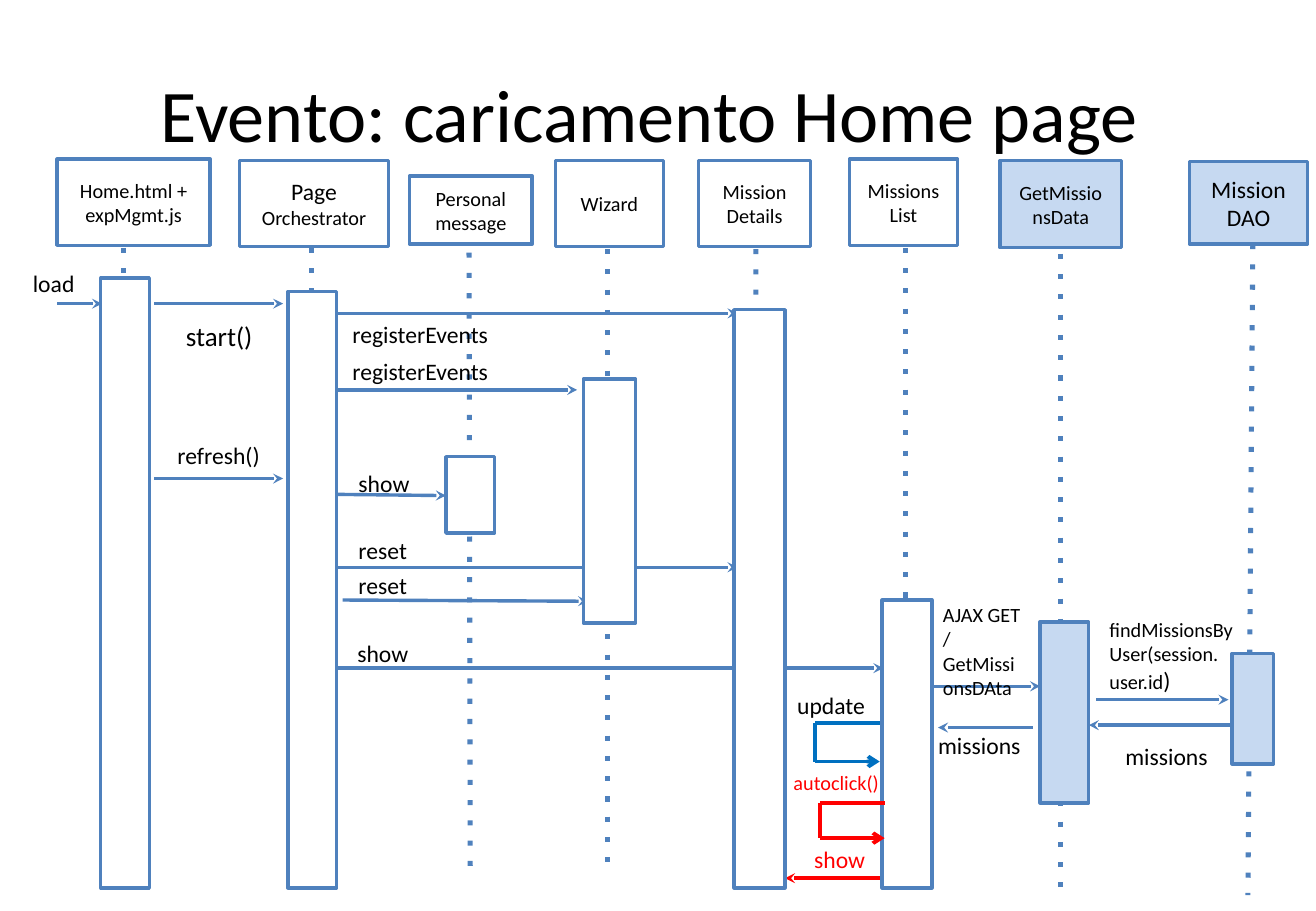
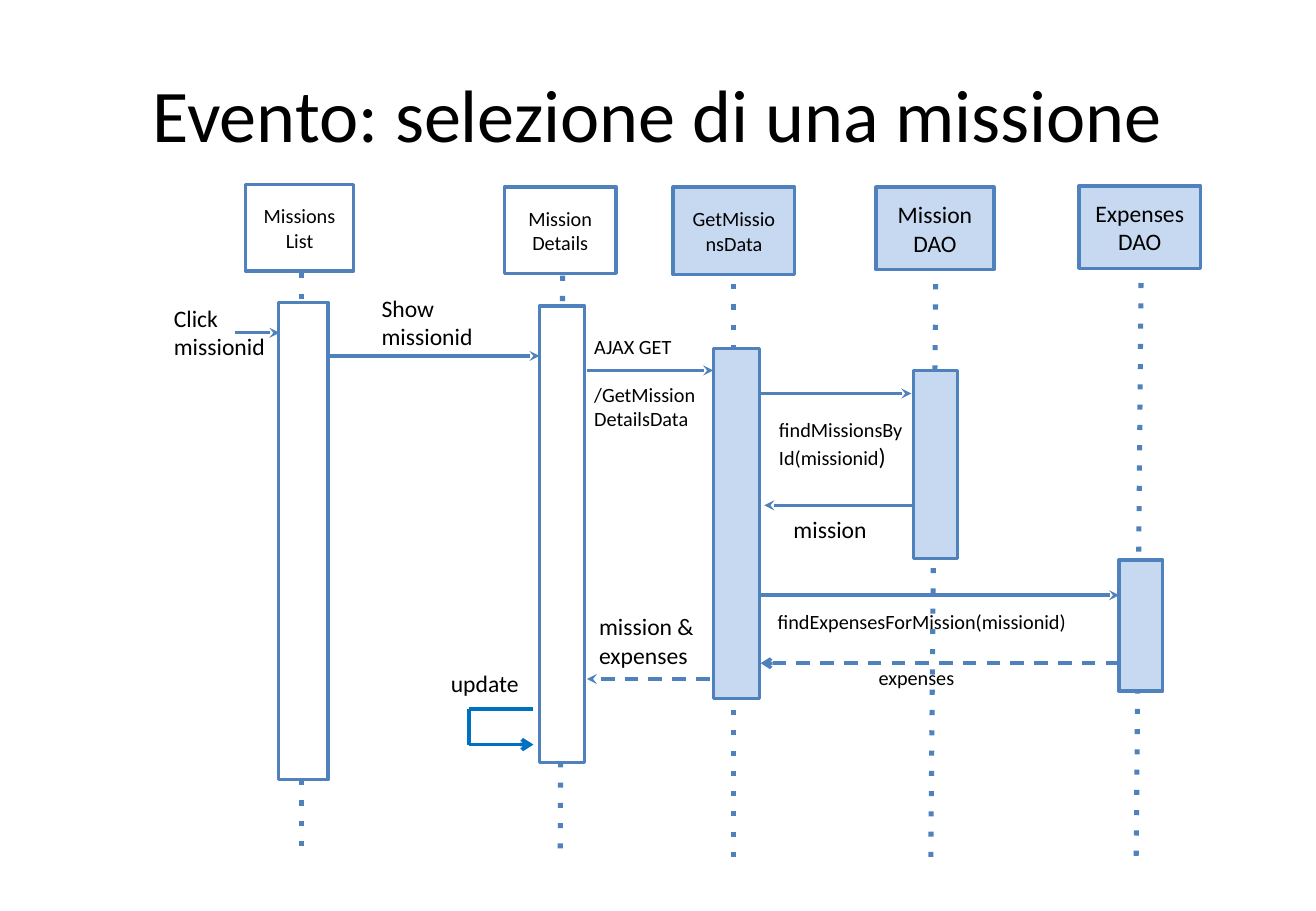
import dataclasses

import lxml.etree
import pptx
import pptx.dml.color
import pptx.enum.shapes
import pptx.enum.text
import pptx.oxml.ns
import pptx.util


@dataclasses.dataclass(frozen=True)
class Theme:
    font: str = "Calibri"
    ink: str = "000000"
    edge: str = "4F81BD"
    client: str = "FFFFFF"
    server: str = "C6D9F1"
    loop: str = "0070C0"
    alert: str = "FF0000"
    title: int = 44
    big: int = 16
    mid: int = 14
    small: int = 12
    thin: float = 2
    bold: float = 2.25
    dots: float = 3


look = Theme()
qn = pptx.oxml.ns.qn
rgb = pptx.dml.color.RGBColor.from_string
pt = pptx.util.Pt
cell = pptx.util.Inches(0.1)  # square grid: 108.3 columns by 75 rows


def put(text, at, host=None, fill=None, size=look.mid, color=look.ink,
        center=False, tail="", tail_size=look.mid, gap=0):
    """Write text in host, or in a new box if fill is given, else a text box.

    In text, \\n starts a paragraph and \\v a line; tail is a last run of its own size.
    """
    place = [round(n * cell) for n in at]
    if host is not None:
        host.left, host.top, host.width, host.height = place
    elif fill:
        host = slide.shapes.add_shape(pptx.enum.shapes.MSO_SHAPE.RECTANGLE, *place)
        host.shadow.inherit = False
        host.fill.solid()
        host.fill.fore_color.rgb = rgb(fill)
        host.line.color.rgb = rgb(look.edge)
        host.line.width = pt(look.thin)
    else:
        host = slide.shapes.add_textbox(*place)
    frame = host.text_frame
    frame.word_wrap = True
    frame.auto_size = pptx.enum.text.MSO_AUTO_SIZE.NONE
    anchor = pptx.enum.text.MSO_ANCHOR
    frame.vertical_anchor = anchor.MIDDLE if center else anchor.TOP
    frame.margin_left = frame.margin_right = pptx.util.Inches(0.12)
    frame.margin_top = frame.margin_bottom = pptx.util.Inches(0.06)
    frame.text = text
    if tail:
        frame.paragraphs[-1].add_run().text = tail
    align = pptx.enum.text.PP_ALIGN
    for i, para in enumerate(frame.paragraphs):
        para.alignment = align.CENTER if center else align.LEFT
        if i and gap:
            para.space_before = pt(gap)
        for run in para.runs:
            run.font.name = look.font
            run.font.size = pt(size)
            run.font.color.rgb = rgb(color)
    if tail:
        frame.paragraphs[-1].runs[-1].font.size = pt(tail_size)
    for br in frame._txBody.iter(qn("a:br")):
        lxml.etree.SubElement(br, qn("a:rPr"), sz=str(size * 100))


def link(x1, y1, x2, y2, color=look.edge, width=look.thin, dash=None, tip="stealth"):
    ends = [round(n * cell) for n in (x1, y1, x2, y2)]
    line = slide.shapes.add_connector(pptx.enum.shapes.MSO_CONNECTOR.STRAIGHT, *ends)
    line.line.color.rgb = rgb(color)
    line.line.width = pt(width)
    props = line._element.spPr
    stroke = props.find(qn("a:ln"))
    if dash:
        lxml.etree.SubElement(stroke, qn("a:prstDash"), val=dash)
    if tip:
        lxml.etree.SubElement(stroke, qn("a:tailEnd"), type=tip)
    lxml.etree.SubElement(props, qn("a:effectLst"))


small = dict(size=look.small)
page = dict(tail="Orchestrator", tail_size=look.small)
red = dict(color=look.alert)
dashed = dict(dash="dash")

# lives: name, head box, dotted line, bar, fill, format
# calls: arrow, format; loops: left, top, right, bottom, colour
# notes: text, box, format
load = dict(
    title="Evento: caricamento Home page ",
    lives=[
        ("Home.html + expMgmt.js", (4.7, 13.1, 12.6, 7.1), (10.2, 20.4, 10.2, 68.8),
         (8.3, 22.9, 4, 50.2), look.client, small),
        ("Page\v", (19.7, 13.2, 12.3, 7.1), (25.6, 20.4, 25.6, 68.9),
         (23.7, 24, 4, 49.1), look.client, page),
        ("Personal\nmessage", (33.7, 14.5, 10.1, 5.6), (38.6, 20.8, 38.7, 71.7),
         (36.7, 37.6, 4, 6.3), look.client, small),
        ("Wizard", (45.7, 13.2, 8.9, 7.1), (50, 20.5, 50, 71),
         (48, 31.2, 4.3, 20.1), look.client, small),
        ("Mission\vDetails", (57.5, 13.2, 9.2, 7.1), (62.2, 20.5, 62.3, 73.7),
         (60.4, 25.5, 4.2, 47.6), look.client, small),
        ("Missions\vList", (69.9, 13.1, 8.9, 7.1), (74.5, 20.4, 74.5, 68.8),
         (72.6, 49.4, 4.1, 23.7), look.client, small),
        ("GetMissionsData", (82.3, 13.2, 10, 7.2), (87.3, 20.9, 87.3, 73.7),
         (85.6, 51.2, 4, 14.9), look.server, small),
        ("Mission\nDAO", (97.9, 13.3, 9.7, 6.8), (103.1, 20.1, 102.7, 73.7),
         (101.4, 53.8, 3.4, 9.1), look.server, {}),
    ],
    calls=[
        ((4.7, 25, 8.4, 25), {}),
        ((12.7, 25, 23.3, 25), {}),
        ((27.8, 25.8, 60.7, 25.8), {}),
        ((27.8, 32.1, 47.5, 32.1), {}),
        ((12.7, 39.4, 23.3, 39.4), {}),
        ((27.5, 40.7, 36.7, 40.8), {}),
        ((27.7, 46.7, 60.7, 46.7), {}),
        ((28.2, 49.4, 48.4, 49.5), {}),
        ((27.8, 55, 72.7, 55), {}),
        ((75.2, 56.5, 85.6, 56.5), {}),
        ((90.2, 57.6, 101.1, 57.6), {}),
        ((102.8, 59.7, 89.6, 59.7), {}),
        ((85, 59.9, 77.2, 59.9), {}),
        ((72.8, 72.3, 64.6, 72.3), red),
    ],
    loops=[
        (67.1, 59.5, 72.4, 62.7, look.loop),
        (67.5, 66.1, 72.8, 69, look.alert),
    ],
    notes=[
        ("load", (1.5, 21.5, 6.8, 4.9), {}),
        ("start()", (14.1, 25.7, 8.5, 4.9), dict(size=look.big)),
        ("registerEvents", (27.8, 25.7, 16.9, 4.9), {}),
        ("registerEvents", (27.8, 28.8, 15.5, 4.9), {}),
        ("refresh()", (13.4, 35.7, 10, 4.9), {}),
        ("show", (28.3, 38, 8.5, 4.9), {}),
        ("reset", (28.3, 43.5, 10.8, 3.4), {}),
        ("reset", (28.3, 46.4, 7.3, 3.4), {}),
        ("show", (28.2, 52, 8.5, 4.9), {}),
        ("AJAX GET\n/GetMissionsDAta", (76.4, 49, 9.1, 10.5), small),
        ("findMissionsBy\vUser(session.\vuser.id", (90.1, 50.2, 13.2, 6.4),
         dict(small, tail=")")),
        ("missions", (91.4, 60.5, 10.8, 3.4), {}),
        ("missions", (76, 59.6, 10.8, 3.4), {}),
        ("update", (64.4, 56.3, 8.4, 3.4), {}),
        ("autoclick()", (64.1, 62.8, 10.1, 3.4), dict(small, **red)),
        ("show", (65.8, 69, 12.2, 3.4), red),
    ],
)
select = dict(
    title="Evento: selezione di una missione",
    lives=[
        ("Missions\vList", (20.2, 15.2, 8.9, 7.1), (24.8, 22.5, 24.8, 70.9),
         (22.9, 24.9, 4.1, 39.3), look.client, small),
        ("Mission\vDetails", (41.5, 15.4, 9.2, 7.1), (46.3, 22.7, 46.1, 70.9),
         (44.4, 25.2, 3.7, 37.6), look.client, small),
        ("GetMissionsData", (55.4, 15.4, 10, 7.2), (60.4, 23.4, 60.4, 70.9),
         (58.7, 28.7, 3.8, 28.8), look.server, small),
        ("Mission\nDAO", (72.1, 15.4, 9.7, 6.8), (77, 23.4, 76.6, 70.9),
         (75.2, 30.5, 3.6, 15.5), look.server, {}),
        ("Expenses\nDAO", (88.8, 15.3, 10, 6.8), (93.9, 23.3, 93.5, 70.8),
         (92.1, 46.1, 3.6, 10.8), look.server, {}),
    ],
    calls=[
        ((19.3, 27.4, 23, 27.4), {}),
        ((24.6, 29.3, 44.4, 29.3), {}),
        ((48.3, 30.5, 58.7, 30.5), {}),
        ((62.1, 32.4, 75, 32.4), {}),
        ((76.1, 41.6, 62.9, 41.6), {}),
        ((62.6, 49, 92.1, 49), {}),
        ((92.1, 54.6, 62.6, 54.6), dict(dashed, tip="arrow")),
        ((58.4, 55.9, 48.3, 55.9), dashed),
    ],
    loops=[(38.6, 58.4, 43.9, 61.3, look.loop)],
    notes=[
        ("Click missionid", (13.1, 24.4, 10.9, 4.9), {}),
        ("Show missionid", (30.2, 23.6, 11.3, 6.6), {}),
        ("AJAX GET\n/GetMission\vDetailsData", (47.7, 26.9, 11.8, 10.5),
         dict(small, gap=14)),
        ("findMissionsBy\vId(missionid", (62.9, 33.8, 13.2, 6.4),
         dict(small, tail=")")),
        ("mission", (64.1, 41.8, 10.8, 3.4), {}),
        ("findExpensesForMission(missionid)", (62.8, 49.6, 27.4, 3.9), small),
        ("expenses", (71.1, 54.2, 10.8, 3.4), small),
        ("mission & expenses", (48.1, 49.8, 10.4, 7.8), {}),
        ("update", (35.9, 54.5, 8.4, 3.4), {}),
    ],
)

deck = pptx.Presentation()
deck.slide_width = round(108.3 * cell)
deck.slide_height = 75 * cell

for event in (load, select):
    slide = deck.slides.add_slide(deck.slide_layouts[5])
    put(event["title"], (5.4, 3, 97.5, 12.5), host=slide.shapes.title,
        size=look.title, center=True)
    for name, head, life, bar, fill, style in event["lives"]:
        link(*life, width=look.dots, dash="dot", tip=None)
        put(name, head, fill=fill, center=True, **style)
    for ends, style in event["calls"]:
        link(*ends, **style)
    for name, head, life, bar, fill, style in event["lives"]:
        put("", bar, fill=fill)
    for left, top, right, foot, color in event["loops"]:
        link(right, top, left, top, color, look.bold, tip=None)
        link(left, top, left, foot, color, look.bold, tip=None)
        link(left, foot, right, foot, color, look.bold, tip="arrow")
    for text, at, style in event["notes"]:
        put(text, at, **style)

deck.save("out.pptx")
